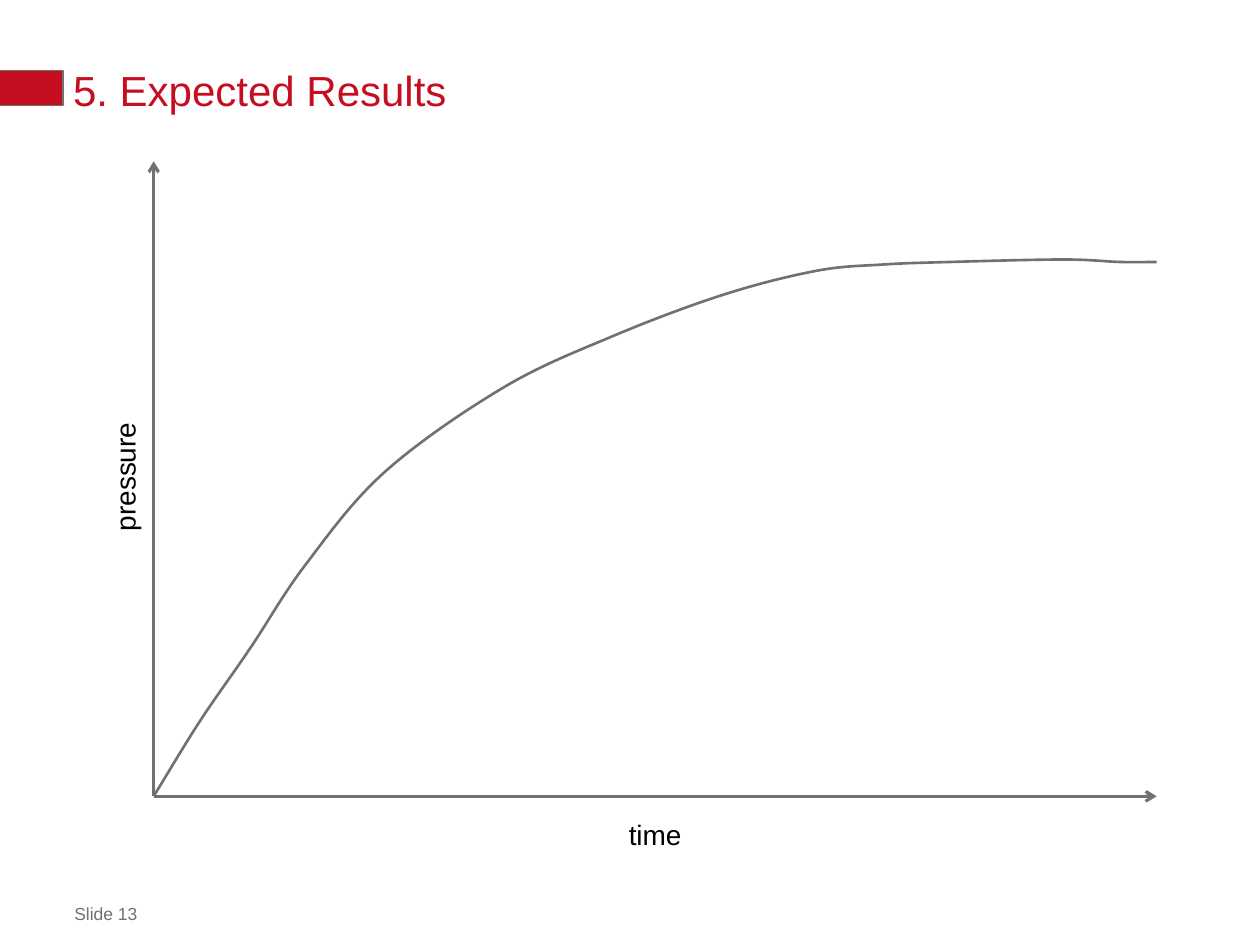
from dataclasses import dataclass

from lxml import etree
from pptx import Presentation
from pptx.dml.color import RGBColor
from pptx.enum import shapes, text
from pptx.oxml import ns
from pptx.util import Inches, Pt


@dataclass(frozen=True)
class Theme:
    font: str = "Arial"
    red: str = "C50E1F"
    grey: str = "717171"
    black: str = "000000"
    title_size: float = 24
    label_size: float = 16
    footer_size: float = 10
    frame_width: float = 0.75
    axis_width: float = 1.75
    curve_width: float = 1.5


THEME = Theme()

# Knots of the pressure curve, in inches from the origin: time, pressure
PRESSURE_KNOTS = [
    (0, 0), (0.37, 0.6), (0.77, 1.18), (1.2, 1.83), (1.83, 2.57),
    (2.77, 3.24), (3.64, 3.65), (4.52, 3.98), (5.26, 4.17), (5.79, 4.22),
    (6.32, 4.24), (7.22, 4.26), (7.67, 4.24), (7.96, 4.24),
]


def add_text(slide, box, words, *, size, color, align=text.PP_ALIGN.LEFT,
             anchor=text.MSO_ANCHOR.TOP, margins=(0, 0), spacing=None, rotation=0):
    label = slide.shapes.add_textbox(*map(Inches, box))
    label.rotation = rotation
    frame = label.text_frame
    frame.word_wrap = True
    frame.vertical_anchor = anchor
    frame.margin_left = frame.margin_right = Inches(margins[0])
    frame.margin_top = frame.margin_bottom = Inches(margins[1])
    paragraph = frame.paragraphs[0]
    paragraph.alignment = align
    if spacing:
        paragraph.line_spacing = Pt(spacing)
    run = paragraph.add_run()
    run.text = words
    run.font.name = THEME.font
    run.font.size = Pt(size)
    run.font.color.rgb = RGBColor.from_string(color)


def style_line(shape, width):
    shape.line.color.rgb = RGBColor.from_string(THEME.grey)
    shape.line.width = Pt(width)


def add_axis(slide, start, end):
    axis = slide.shapes.add_connector(
        shapes.MSO_CONNECTOR.STRAIGHT, *map(Inches, (*start, *end)))
    style_line(axis, THEME.axis_width)
    etree.SubElement(axis.line._get_or_add_ln(), ns.qn("a:tailEnd"), type="arrow")
    etree.SubElement(axis._element.spPr, ns.qn("a:effectLst"))


def smooth(curve):
    """Turn straight segments into Beziers whose tangents follow neighbouring knots."""
    path = curve._element.find(".//" + ns.qn("a:path"))
    knots = [(int(p.get("x")), int(p.get("y"))) for p in path.iter(ns.qn("a:pt"))]

    def ghost(end, inner):
        return tuple(2 * e - i for e, i in zip(end, inner))

    run = [ghost(knots[0], knots[1]), *knots, ghost(knots[-1], knots[-2])]
    segments = path.findall(ns.qn("a:lnTo"))
    for segment, before, start, end, after in zip(segments, run, run[1:], run[2:], run[3:]):
        leave = [s + (e - b) / 6 for b, s, e in zip(before, start, end)]
        arrive = [e - (a - s) / 6 for s, e, a in zip(start, end, after)]
        bezier = etree.Element(ns.qn("a:cubicBezTo"))
        for x, y in (leave, arrive, end):
            etree.SubElement(bezier, ns.qn("a:pt"), x=str(round(x)), y=str(round(y)))
        path.replace(segment, bezier)


def add_header(slide, box):
    left, top, width, height = box
    # Red marker at the slide edge
    marker = slide.shapes.add_shape(
        shapes.MSO_SHAPE.RECTANGLE, *map(Inches, (-0.01, top + 0.04, 0.51, 0.28)))
    marker.shadow.inherit = False
    marker.fill.solid()
    marker.fill.fore_color.rgb = RGBColor.from_string(THEME.red)
    style_line(marker, THEME.frame_width)
    # Title
    add_text(slide, box, "5. Expected Results", size=THEME.title_size, color=THEME.red,
             anchor=text.MSO_ANCHOR.BOTTOM, spacing=30)


def add_pressure_plot(slide, box):
    left, top, width, height = box
    bottom = top + height
    # Axes
    add_axis(slide, (left, bottom), (left, top))
    add_axis(slide, (left, bottom), (left + width, bottom))
    # Axis labels
    label_format = dict(size=THEME.label_size, color=THEME.black,
                        align=text.PP_ALIGN.CENTER, margins=(0.1, 0.05))
    add_text(slide, (left + width / 2 - 0.75, bottom + 0.12, 1.5, 0.37), "time",
             **label_format)
    add_text(slide, (left - 1.53, top + height / 2 - 0.2, 2.6, 0.37), "pressure",
             rotation=270, **label_format)
    # Pressure curve
    points = [(Inches(left + time), Inches(bottom - pressure))
              for time, pressure in PRESSURE_KNOTS]
    builder = slide.shapes.build_freeform(*points[0])
    builder.add_line_segments(points[1:], close=False)
    curve = builder.convert_to_shape()
    curve.shadow.inherit = False
    curve.fill.background()
    style_line(curve, THEME.curve_width)
    smooth(curve)


def add_footer(slide, box):
    add_text(slide, box, "Slide 13", size=THEME.footer_size, color=THEME.grey)


def main():
    deck = Presentation()
    deck.slide_width, deck.slide_height = Inches(10), Inches(7.5)
    slide = deck.slides.add_slide(deck.slide_layouts[6])
    add_footer(slide, (0.59, 7.17, 7.24, 0.17))
    add_header(slide, (0.58, 0.52, 8.82, 0.39))
    add_pressure_plot(slide, (1.22, 1.28, 7.96, 5.04))
    deck.save("out.pptx")


if __name__ == "__main__":
    main()
